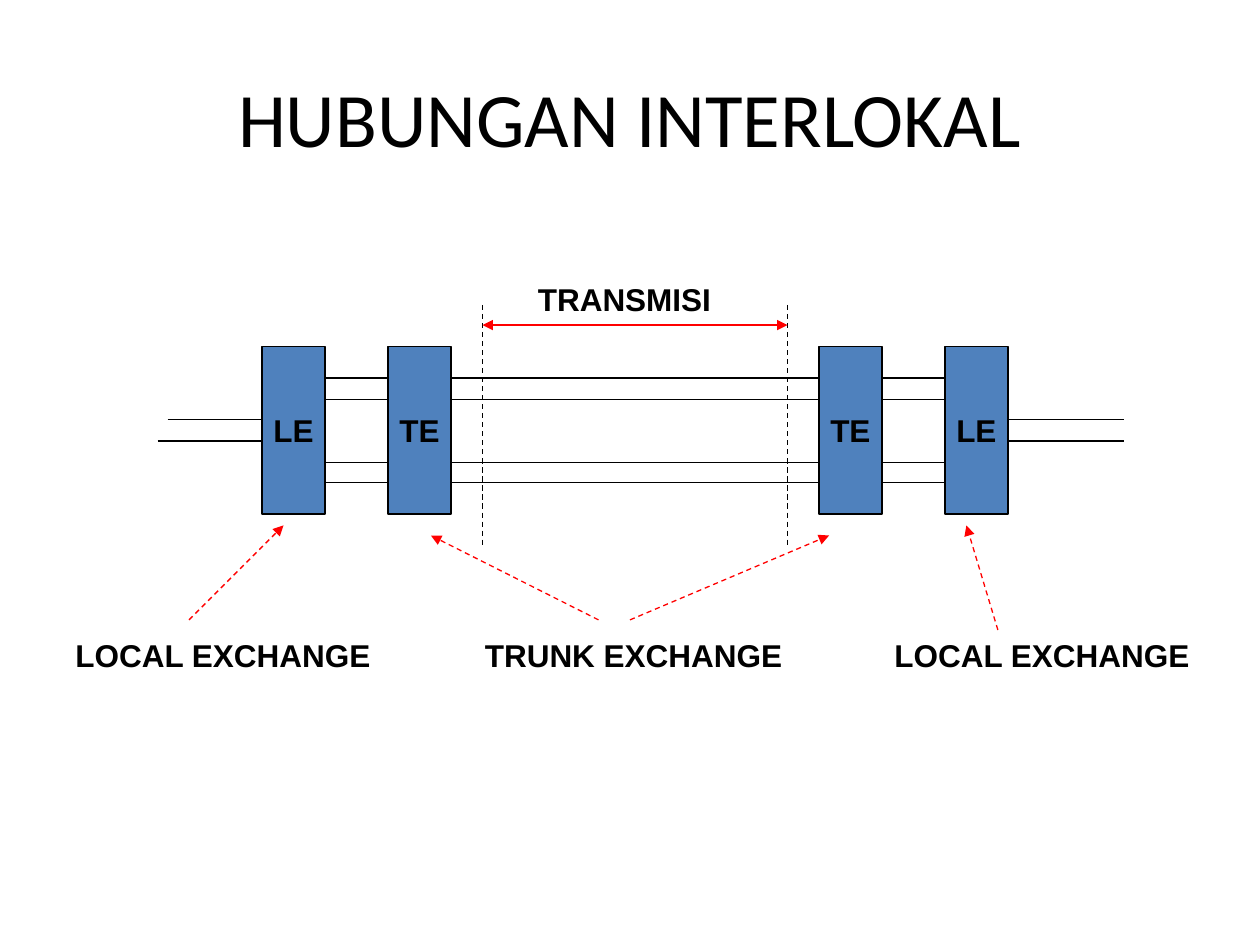
from dataclasses import dataclass
from itertools import pairwise

from lxml import etree
from pptx import Presentation
from pptx.dml.color import RGBColor
from pptx.enum import dml, shapes, text
from pptx.oxml import ns
from pptx.util import Inches, Pt

BLACK, RED, BLUE = "000000", "FF0000", "4F81BD"
EXCHANGE_TOP, EXCHANGE_WIDTH, EXCHANGE_HEIGHT = 2.75, 0.5, 1.33
TRUNK_LEVELS = (3, 3.17, 3.67, 3.83)
TRANSMISSION_EDGES = (3.83, 6.25)


@dataclass(frozen=True)
class Exchange:
    name: str
    left: float


@dataclass(frozen=True)
class Label:
    wording: str
    left: float
    top: float
    width: float


@dataclass(frozen=True)
class Line:
    start: tuple[float, float]
    end: tuple[float, float]
    color: str = BLACK
    dashed: bool = False
    arrowheads: tuple[str, ...] = ()


EXCHANGES = (
    Exchange("LE", 2.08),
    Exchange("TE", 3.08),
    Exchange("TE", 6.5),
    Exchange("LE", 7.5),
)
LABELS = (
    Label("TRANSMISI", 4.17, 2.17, 1.58),
    Label("LOCAL EXCHANGE", 0.5, 5, 2.55),
    Label("TRUNK EXCHANGE", 3.75, 5, 2.56),
    Label("LOCAL EXCHANGE", 7, 5, 2.55),
)
SUBSCRIBER_LINES = (
    Line((1.33, 3.33), (2.08, 3.33)),
    Line((1.25, 3.5), (2.08, 3.5)),
    Line((8, 3.33), (8.92, 3.33)),
    Line((8, 3.5), (8.92, 3.5)),
)
POINTERS = (
    ((1.5, 4.92), (2.25, 4.17)),
    ((4.75, 4.92), (3.42, 4.25)),
    ((5, 4.92), (6.58, 4.25)),
    ((7.92, 5), (7.67, 4.17)),
)


def rgb(color: str) -> RGBColor:
    return RGBColor.from_string(color)


def set_font(paragraph, name: str, size: float, bold: bool) -> None:
    font = paragraph.font
    font.name = name
    font.size = Pt(size)
    font.bold = bold
    font.color.rgb = rgb(BLACK)


def draw_title(slide, wording: str) -> None:
    title = slide.shapes.title
    title.left, title.top = Inches(0.5), Inches(0.3)
    title.width, title.height = Inches(9), Inches(1.25)
    frame = title.text_frame
    frame.text = wording
    frame.vertical_anchor = text.MSO_ANCHOR.MIDDLE
    paragraph = frame.paragraphs[0]
    paragraph.alignment = text.PP_ALIGN.CENTER
    set_font(paragraph, "Calibri", 44, False)


def draw_exchange(slide, exchange: Exchange) -> None:
    shape = slide.shapes.add_shape(
        shapes.MSO_SHAPE.RECTANGLE,
        Inches(exchange.left), Inches(EXCHANGE_TOP),
        Inches(EXCHANGE_WIDTH), Inches(EXCHANGE_HEIGHT),
    )
    shape.shadow.inherit = False
    shape.fill.solid()
    shape.fill.fore_color.rgb = rgb(BLUE)
    shape.line.color.rgb = rgb(BLACK)
    shape.line.width = Pt(0.75)
    frame = shape.text_frame
    frame.word_wrap = False
    frame.vertical_anchor = text.MSO_ANCHOR.MIDDLE
    frame.text = exchange.name
    paragraph = frame.paragraphs[0]
    paragraph.alignment = text.PP_ALIGN.CENTER
    set_font(paragraph, "Arial", 18, True)


def draw_label(slide, label: Label) -> None:
    box = slide.shapes.add_textbox(
        Inches(label.left), Inches(label.top), Inches(label.width), Inches(0.4)
    )
    frame = box.text_frame
    frame.word_wrap = False
    frame.auto_size = text.MSO_AUTO_SIZE.SHAPE_TO_FIT_TEXT
    frame.text = label.wording
    set_font(frame.paragraphs[0], "Arial", 18, True)


def draw_line(slide, line: Line) -> None:
    connector = slide.shapes.add_connector(
        shapes.MSO_CONNECTOR.STRAIGHT,
        *(Inches(length) for length in line.start + line.end),
    )
    connector.line.color.rgb = rgb(line.color)
    connector.line.width = Pt(0.75)
    if line.dashed:
        connector.line.dash_style = dml.MSO_LINE.DASH
    properties = connector._element.spPr
    outline = properties.find(ns.qn("a:ln"))
    for arrowhead in line.arrowheads:
        etree.SubElement(outline, ns.qn(arrowhead), type="triangle")
    etree.SubElement(properties, ns.qn("a:effectLst"))


def main() -> None:
    presentation = Presentation()
    presentation.slide_width, presentation.slide_height = Inches(10), Inches(7.5)
    slide = presentation.slides.add_slide(presentation.slide_layouts[5])

    draw_title(slide, "HUBUNGAN INTERLOKAL")
    for exchange in EXCHANGES:
        draw_exchange(slide, exchange)
    for line in SUBSCRIBER_LINES:
        draw_line(slide, line)
    for near, far in pairwise(EXCHANGES):
        for level in TRUNK_LEVELS:
            draw_line(slide, Line((near.left + EXCHANGE_WIDTH, level), (far.left, level)))
    for edge in TRANSMISSION_EDGES:
        draw_line(slide, Line((edge, 2.42), (edge, 4.33), dashed=True))
    for label in LABELS:
        draw_label(slide, label)
    for start, end in POINTERS:
        draw_line(slide, Line(start, end, RED, True, ("a:tailEnd",)))
    first, last = TRANSMISSION_EDGES
    draw_line(
        slide,
        Line((first, 2.58), (last, 2.58), RED, arrowheads=("a:headEnd", "a:tailEnd")),
    )

    presentation.save("out.pptx")


if __name__ == "__main__":
    main()
